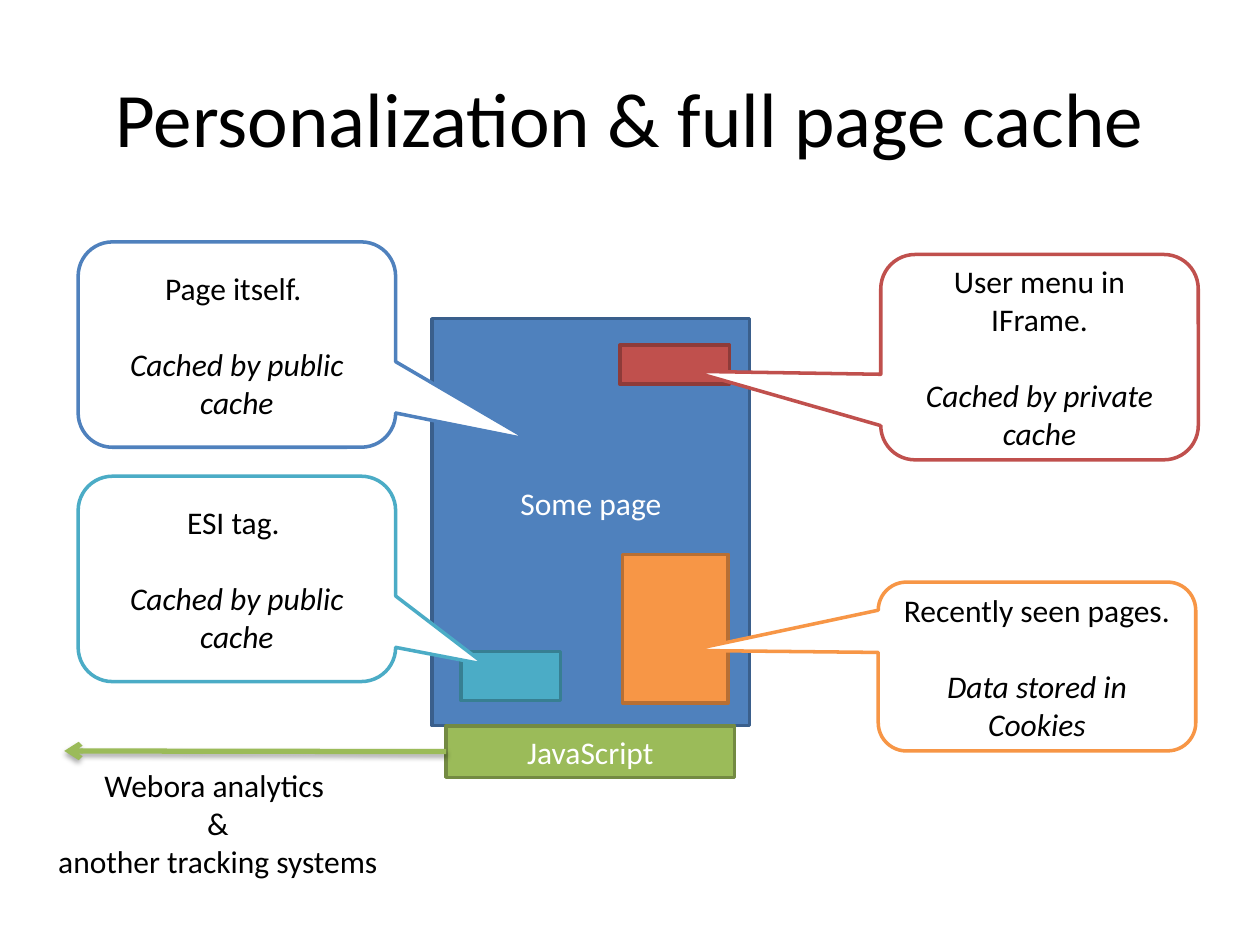
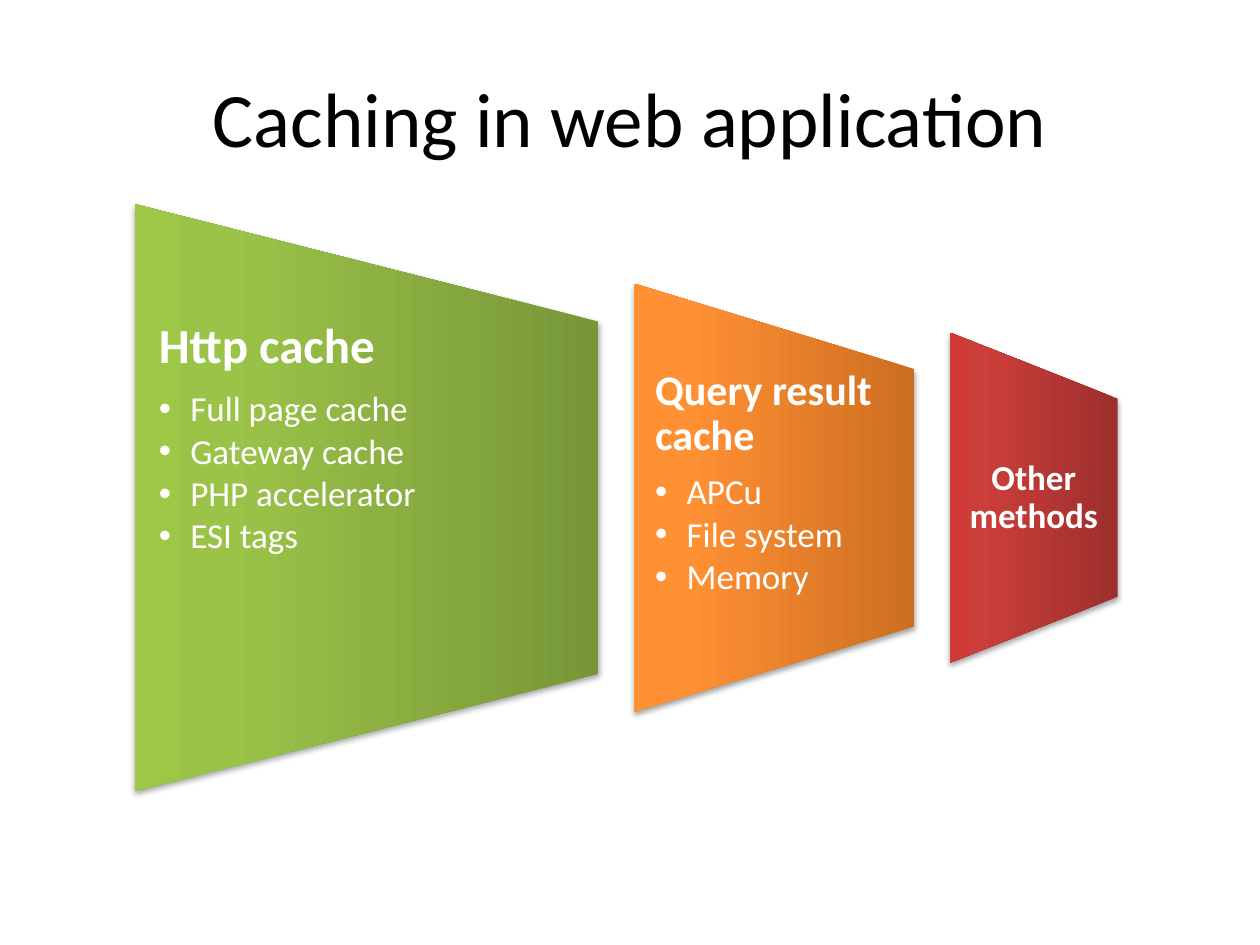
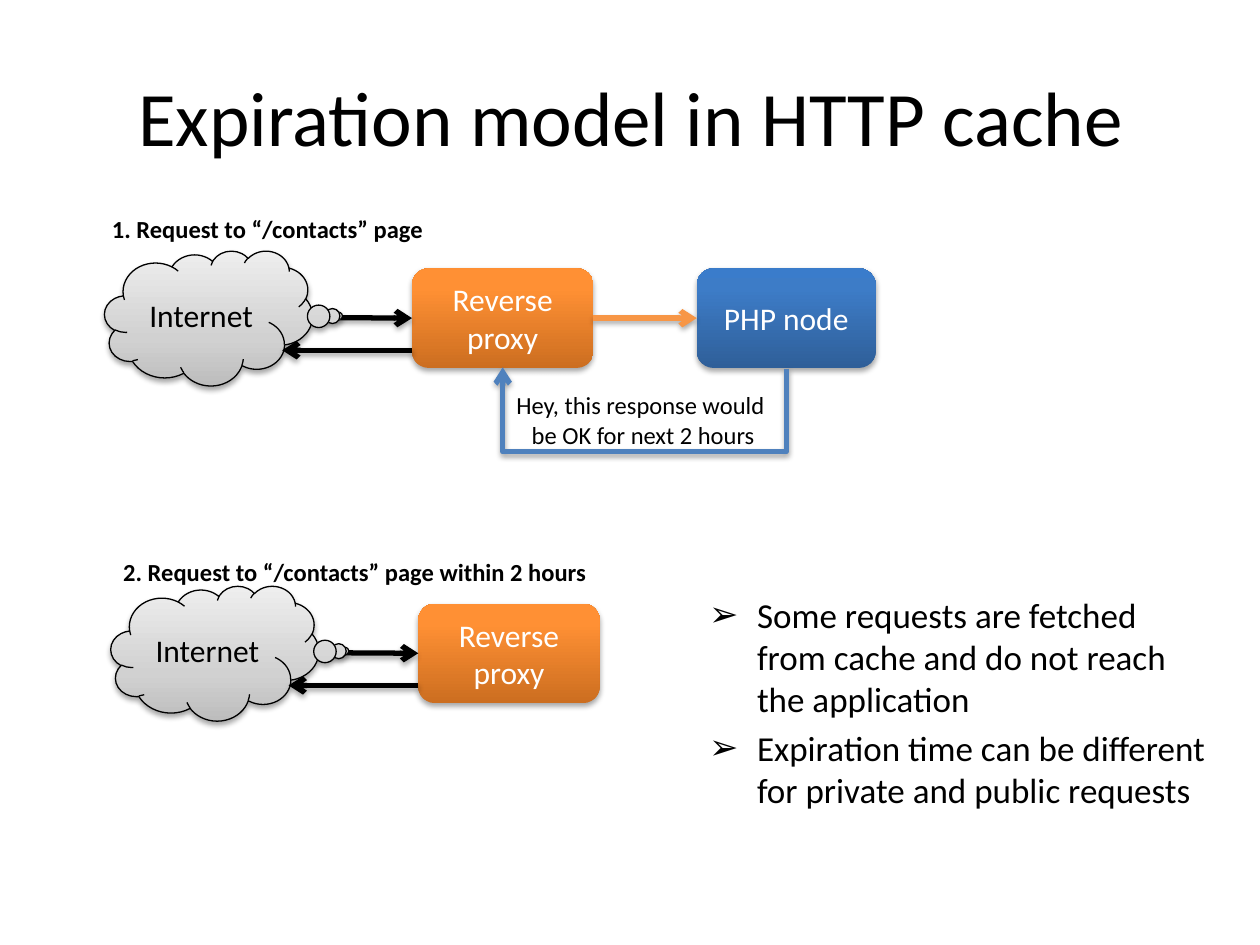
from lxml.etree import SubElement
from pptx import Presentation
from pptx.dml.color import RGBColor
from pptx.enum.shapes import MSO_CONNECTOR, MSO_SHAPE
from pptx.enum.text import MSO_ANCHOR, PP_ALIGN
from pptx.oxml.ns import qn
from pptx.util import Pt

UNIT = 9144  # EMU in one px, 100 px to the inch
FONT = "Calibri"
BLACK, WHITE = "000000", "FFFFFF"
BLUE, RED, GREEN = "4F81BD", "C0504D", "9BBB59"
AQUA, ORANGE = "4BACC6", "F79646"

# Gradient stops, bottom to top: (percent, colour)
LIME_FADE = [(0, "779737"), (80, "9BC348"), (100, "9DC746")]
ORANGE_FADE = [(0, "CC6E20"), (80, "FF9034"), (100, "FF9136")]
RED_FADE = [(0, "9C2F2D"), (80, "CB3E3A"), (100, "CE3B37")]
BLUE_FADE = [(0, "2F5F99"), (80, "3D7CC7"), (100, "3A7CCB")]
GREY_FADE = [(0, "BDBDBD"), (35, "D1D1D1"), (100, "EEEEEE")]


def px(*vals):
    return [round(v * UNIT) for v in vals]


def color(code):
    return RGBColor.from_string(code)


def node(parent, tag, **attrs):
    return SubElement(parent, qn(tag), {k: str(v) for k, v in attrs.items()})


# Text
def style(para, size=18, ink=BLACK, bold=False, italic=False, align="CENTER",
          before=0, after=0, lines=None, bullet=None, indent=0):
    para.alignment = PP_ALIGN[align]
    para.space_before, para.space_after = Pt(before), Pt(after)
    if lines:
        para.line_spacing = lines
    font = para.runs[0].font
    font.name, font.size, font.bold, font.italic = FONT, Pt(size), bold, italic
    font.color.rgb = color(ink)
    if bullet:
        props = para._p.get_or_add_pPr()
        step = px(indent)[0]
        props.set("marL", str(step))
        props.set("indent", str(-step))
        node(props, "a:buFont", typeface="Arial")
        node(props, "a:buChar", char=bullet)


def write(shape, items, anchor="MIDDLE", side=10, top=5, base=5, **look):
    """Each item is a string, or a string with its own format."""
    frame = shape.text_frame
    frame.word_wrap = True
    frame.vertical_anchor = MSO_ANCHOR[anchor]
    frame.margin_left = frame.margin_right = px(side)[0]
    frame.margin_top, frame.margin_bottom = px(top, base)
    for i, item in enumerate(items):
        words, own = (item, {}) if isinstance(item, str) else item
        para = frame.paragraphs[0] if i == 0 else frame.add_paragraph()
        para.add_run().text = words
        style(para, **{**look, **own})


def label(slide, at, items, **look):
    write(slide.shapes.add_textbox(*px(*at)), items, **{"anchor": "TOP", **look})


# Shapes
def shade(effects):
    shadow = node(effects, "a:outerShdw", blurRad=40000, dist=23000,
                  dir=5400000, rotWithShape=0)
    node(node(shadow, "a:srgbClr", val=BLACK), "a:alpha", val=35000)


def fade(shape, stops):
    props = shape._element.spPr
    grad = node(props, "a:gradFill", rotWithShape=1)
    stop_list = node(grad, "a:gsLst")
    for part, code in stops:
        stop = node(stop_list, "a:gs", pos=part * 1000)
        node(stop, "a:srgbClr", val=code)
    node(grad, "a:lin", ang=16200000, scaled=0)
    props.find(qn("a:prstGeom")).addnext(grad)


def block(slide, kind, at, fill, line=None, width=2, adj=()):
    """A list as fill gives a gradient with a shadow."""
    shape = slide.shapes.add_shape(MSO_SHAPE[kind], *px(*at))
    for i, val in enumerate(adj):
        shape.adjustments[i] = val
    if line:
        shape.line.color.rgb = color(line)
        shape.line.width = Pt(width)
    else:
        shape.line.fill.background()
    shape.shadow.inherit = False
    if isinstance(fill, list):
        fade(shape, fill)
        shade(shape._element.spPr.find(qn("a:effectLst")))
    else:
        shape.fill.solid()
        shape.fill.fore_color.rgb = color(fill)
    return shape


def arrow(slide, start, end, ink, tail=None, head=None, kind="STRAIGHT"):
    """Tail and head are (shape, side) pairs to join."""
    link = slide.shapes.add_connector(MSO_CONNECTOR[kind], *px(*start, *end))
    if tail:
        link.begin_connect(*tail)
    if head:
        link.end_connect(*head)
    link.line.color.rgb = color(ink)
    link.line.width = Pt(3)
    props = link._element.spPr
    node(props.find(qn("a:ln")), "a:tailEnd", type="arrow")
    shade(node(props, "a:effectLst"))
    return link


def loop(slide, left, right, y, drop, ink):
    """An arrow from right to left that runs below both ends."""
    link = arrow(slide, (right, y), (left, y), ink, kind="ELBOW")
    span = right - left
    link.left, link.top, link.width, link.height = px(
        (left + right - 1) / 2, y - span / 2, 1, span)
    props = link._element.spPr
    frame = props.find(qn("a:xfrm"))
    frame.attrib.clear()
    frame.set("rot", "5400000")
    frame.set("flipH", "1")
    guides = props.find(qn("a:prstGeom")).get_or_add_avLst()
    node(guides, "a:gd", name="adj1", fmla=f"val {-drop * 100000}")


def page(deck, title, x=50, y=30):
    slide = deck.slides.add_slide(deck.slide_layouts[6])
    label(slide, (x, y, 900, 125), [title], size=44, anchor="MIDDLE")
    return slide


# Slide parts
def callout(slide, at, line, tip, head, note):
    shape = block(slide, "ROUNDED_RECTANGULAR_CALLOUT", at, WHITE, line,
                  adj=(*tip, 0.167))
    write(shape, [head, (note, {"italic": True, "before": 22})])


def funnel(slide, x, wide, tall, stops, size, head, points=()):
    mid = 395
    shape = block(slide, "FLOWCHART_MANUAL_OPERATION",
                  (x + (wide - tall) / 2, mid - wide / 2, tall, wide), stops)
    shape.rotation = 270
    dot = {"size": 20, "bold": False, "after": 2.6, "bullet": "•", "indent": 25}
    items = [(head, {"after": size * 0.35 if points else 0})]
    items += [(point, dot) for point in points]
    label(slide, (x, mid - tall * 0.3, wide, tall * 0.6), items, size=size,
          ink=WHITE, bold=True, lines=0.9, side=round(size * 0.69), top=0, base=0,
          align="LEFT" if points else "CENTER",
          anchor="TOP" if points else "MIDDLE")


def node_box(slide, at, stops, name):
    shape = block(slide, "ROUNDED_RECTANGLE", at, stops)
    write(shape, [name], ink=WHITE)
    return shape


def visit(slide, x, y):
    """The cloud and the proxy, with arrows both ways."""
    proxy = node_box(slide, (x + 244, y + 14, 144, 79), ORANGE_FADE, "Reverse proxy")
    arrow(slide, (x + 164, y + 53), (x + 244, y + 53), BLACK, head=(proxy, 1))
    cloud = block(slide, "CLOUD_CALLOUT", (x, y, 165, 107), GREY_FADE, BLACK, 0.75,
                  adj=(0.626, -0.016))
    write(cloud, ["Internet"])
    arrow(slide, (x + 244, y + 79), (x + 141, y + 79), BLACK)
    return proxy


# Slides
def personal(deck):
    slide = page(deck, "Personalization & full page cache")
    site = block(slide, "RECTANGLE", (343, 253, 252, 323), BLUE, "3A5F8C")
    write(site, ["Some page"], ink=WHITE, base=36)
    for at, fill, line in [((492, 274, 87, 31), RED, "8E3B39"),
                           ((494, 440, 84, 118), ORANGE, "B76F34"),
                           ((366, 517, 79, 39), AQUA, "377F92")]:
        block(slide, "RECTANGLE", at, fill, line)
    code = block(slide, "RECTANGLE", (354, 576, 229, 41), GREEN, "738A42")
    write(code, ["JavaScript"], ink=WHITE)
    arrow(slide, (354, 596), (51, 596), GREEN, tail=(code, 1))
    label(slide, (23, 603, 300, 101),
          ["Webora analytics ", "&", "another tracking systems"])
    public = "Cached by public cache"
    for at, line, tip, head, note in [
            ((697, 462, 252, 134), ORANGE, (-1.096, -0.095),
             "Recently seen pages.", "Data stored in Cookies"),
            ((699, 202, 252, 163), RED, (-1.096, 0.069),
             "User menu in IFrame.", "Cached by private cache"),
            ((62, 192, 252, 163), BLUE, (0.921, 0.464), "Page itself. ", public),
            ((62, 378, 252, 163), AQUA, (0.782, 0.417), "ESI tag. ", public)]:
        callout(slide, at, line, tip, head, note)


def caching(deck):
    slide = page(deck, "Caching in web application")
    x, gap = 107, 28
    for wide, tall, *rest in [
            (368, 466, LIME_FADE, 28, "Http cache",
             ["Full page cache", "Gateway cache", "PHP accelerator", "ESI tags"]),
            (223, 340, ORANGE_FADE, 24, "Query result cache",
             ["APCu", "File system", "Memory"]),
            (133, 262, RED_FADE, 20, "Other methods")]:
        funnel(slide, x, wide, tall, *rest)
        x += wide + gap


def expiry(deck):
    slide = page(deck, "Expiration model in HTTP cache", 51, 29)
    label(slide, (553, 466, 419, 311),
          ["Some requests are fetched from cache and do not reach the application",
           "Expiration time can be different for private and public requests"],
          size=20, align="LEFT", before=4, bullet="➢", indent=38)
    # First request
    proxy = visit(slide, 83, 199)
    server = node_box(slide, (553, 213, 142, 79), BLUE_FADE, "PHP node")
    arrow(slide, (471, 252), (553, 252), ORANGE, (proxy, 3), (server, 1))
    loop(slide, 399, 624, 292, 67, BLUE)
    label(slide, (361, 305, 299, 57),
          ["Hey, this response would ", "be OK for next 2 hours"], size=14)
    # Second request
    visit(slide, 88, 465)
    for at, words in [((79, 165, 300, 34), "1. Request to “/contacts” page"),
                      ((88, 437, 420, 34),
                       "2. Request to “/contacts” page within 2 hours")]:
        label(slide, at, [words], size=14, bold=True, align="LEFT")


def main():
    deck = Presentation()
    deck.slide_width, deck.slide_height = px(1000, 750)
    personal(deck)
    caching(deck)
    expiry(deck)
    deck.save("out.pptx")


if __name__ == "__main__":
    main()
